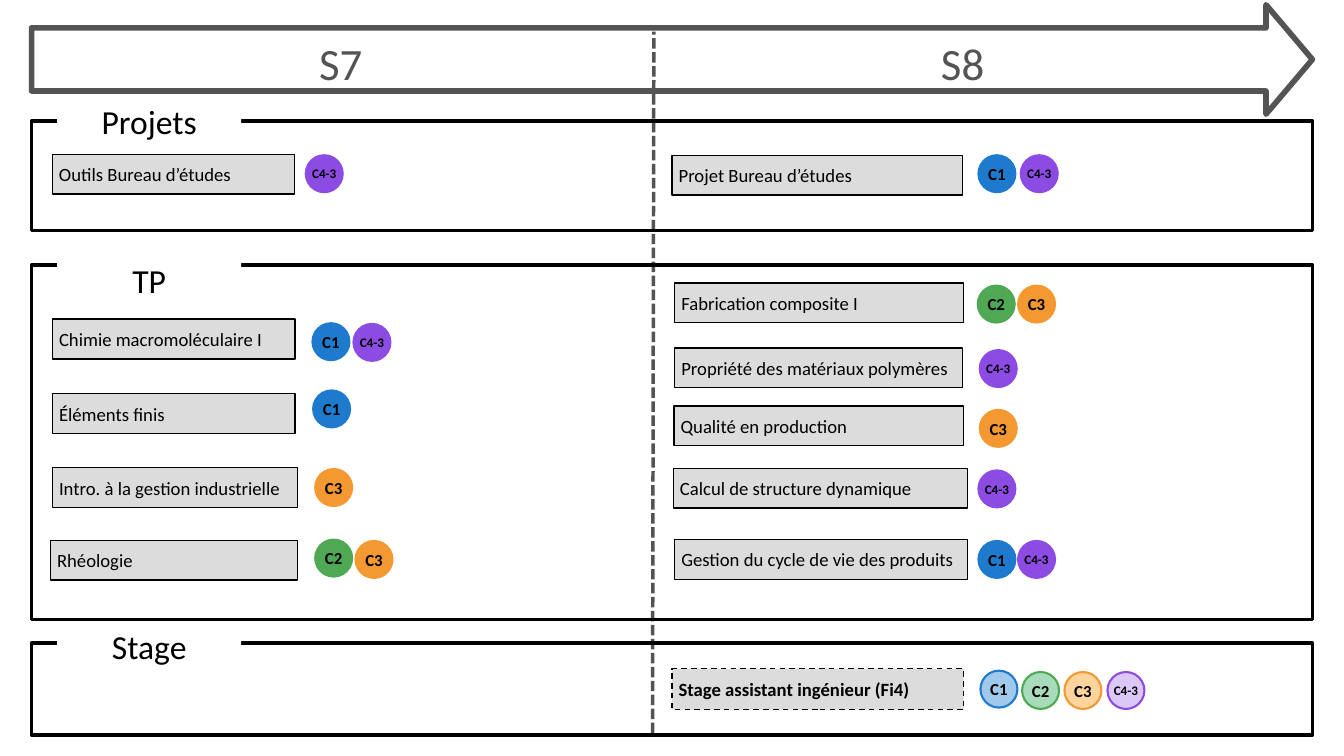
from lxml import etree
from pptx import Presentation
from pptx.dml.color import RGBColor
from pptx.enum import dml, shapes, text
from pptx.oxml import ns
from pptx.util import Pt

PX = 9144
COLORS = {
    "ink": "000000", "axis": "545454", "paper": "FFFFFF", "course": "DDDCDC",
    "C1": "1E7ACC", "C2": "4FA954", "C3": "F49831", "C4-3": "8C4BE2",
    "C1 light": "A0C9EB", "C2 light": "A8DBBA", "C3 light": "FBD49E", "C4-3 light": "8C4BE2",
}

presentation = Presentation()
presentation.slide_width = 2000 * PX
presentation.slide_height = 1125 * PX
slide = presentation.slides.add_slide(presentation.slide_layouts[6])


def add_box(kind, box, fill=None, line=None, width=0):
    shape = slide.shapes.add_shape(kind, *[value * PX for value in box])
    shape.shadow.inherit = False
    if fill:
        shape.fill.solid()
        shape.fill.fore_color.rgb = RGBColor.from_string(COLORS[fill])
    else:
        shape.fill.background()
    if line:
        shape.line.color.rgb = RGBColor.from_string(COLORS[line])
        shape.line.width = Pt(width)
    else:
        shape.line.fill.background()
    return shape


def write(shape, words, size, color="ink", bold=False, align=text.PP_ALIGN.CENTER,
          anchor=text.MSO_ANCHOR.MIDDLE, inset=True):
    frame = shape.text_frame
    frame.word_wrap = True
    frame.vertical_anchor = anchor
    if not inset:
        frame.margin_left = frame.margin_top = frame.margin_right = frame.margin_bottom = 0
    frame.text = words
    paragraph = frame.paragraphs[0]
    paragraph.alignment = align
    font = paragraph.runs[0].font
    font.name = "Calibri"
    font.size = Pt(size)
    font.bold = bold
    font.color.rgb = RGBColor.from_string(COLORS[color])
    return paragraph


RECTANGLE = shapes.MSO_SHAPE.RECTANGLE

arrow = add_box(shapes.MSO_SHAPE.RIGHT_ARROW, (47, 7, 1906, 163), None, "axis", 6)
arrow.adjustments[0] = 94 / 163
arrow.adjustments[1] = 69 / 163

divider = slide.shapes.add_connector(
    shapes.MSO_CONNECTOR.STRAIGHT, 971 * PX, 1091 * PX, 973 * PX, 47 * PX)
divider.line.color.rgb = RGBColor.from_string(COLORS["axis"])
divider.line.width = Pt(3.75)
divider.line.dash_style = dml.MSO_LINE.SQUARE_DOT
etree.SubElement(divider._element.spPr, ns.qn("a:effectLst"))

for semester, left, width in [("S7", 50, 914), ("S8", 981, 903)]:
    heading = slide.shapes.add_textbox(left * PX, 46 * PX, width * PX, 83 * PX)
    paragraph = write(heading, semester, 48, "axis", anchor=text.MSO_ANCHOR.TOP, inset=False)
    paragraph.line_spacing = Pt(62.4)

sections = [
    ("Projets", 180, 163, 150, text.MSO_ANCHOR.MIDDLE),
    ("TP", 394, 528, 382, text.MSO_ANCHOR.TOP),
    ("Stage", 957, 137, 926, text.MSO_ANCHOR.TOP),
]
for title, top, height, title_top, anchor in sections:
    add_box(RECTANGLE, (47, top, 1906, height), None, "ink", 3.75)
    label = add_box(RECTANGLE, (85, title_top, 274, 61), "paper")
    write(label, title, 36, anchor=anchor)

courses = [
    ("Outils Bureau d’études", 78, 230, 360, [("C4-3", 455, 231)]),
    ("Chimie macromoléculaire I", 78, 475, 361, [("C1", 465, 481), ("C4-3", 526, 482)]),
    ("Éléments finis", 78, 586, 361, [("C1", 466, 581)]),
    ("Intro. à la gestion industrielle", 78, 696, 365, [("C3", 469, 698)]),
    ("Rhéologie", 75, 804, 368, [("C2", 469, 803), ("C3", 529, 805)]),
    ("Projet Bureau d’études", 1000, 231, 432, [("C1", 1456, 231), ("C4-3", 1519, 231)]),
    ("Fabrication composite I", 1004, 421, 430, [("C2", 1455, 425), ("C3", 1515, 425)]),
    ("Propriété des matériaux polymères", 1004, 518, 428, [("C4-3", 1458, 521)]),
    ("Qualité en production", 1003, 604, 431, [("C3", 1458, 610)]),
    ("Calcul de structure dynamique", 1002, 697, 438, [("C4-3", 1456, 700)]),
    ("Gestion du cycle de vie des produits", 1004, 803, 436,
     [("C1", 1456, 805), ("C4-3", 1515, 805)]),
    ("Stage assistant ingénieur (Fi4)", 1000, 995, 434,
     [("C1", 1459, 998), ("C2", 1521, 1000), ("C3", 1584, 1000), ("C4-3", 1648, 1000)]),
]
for name, left, top, width, skills in courses:
    internship = name.startswith("Stage")
    course = add_box(RECTANGLE, (left, top, width, 61 if internship else 59), "course", "ink", 1.5)
    if internship:
        course.line.dash_style = dml.MSO_LINE.DASH
    write(course, name, 20, bold=internship, align=text.PP_ALIGN.LEFT)
    for skill, skill_left, skill_top in skills:
        fill = skill + " light" if internship else skill
        badge = add_box(shapes.MSO_SHAPE.OVAL, (skill_left, skill_top, 55, 55), fill, skill, 2.25)
        if fill == "C4-3 light":
            color = badge._element.spPr.find(ns.qn("a:solidFill"))[0]
            etree.SubElement(color, ns.qn("a:alpha"), val="30000")
        write(badge, skill, 14 if skill == "C4-3" else 18, bold=True, inset=False)

presentation.save("out.pptx")
